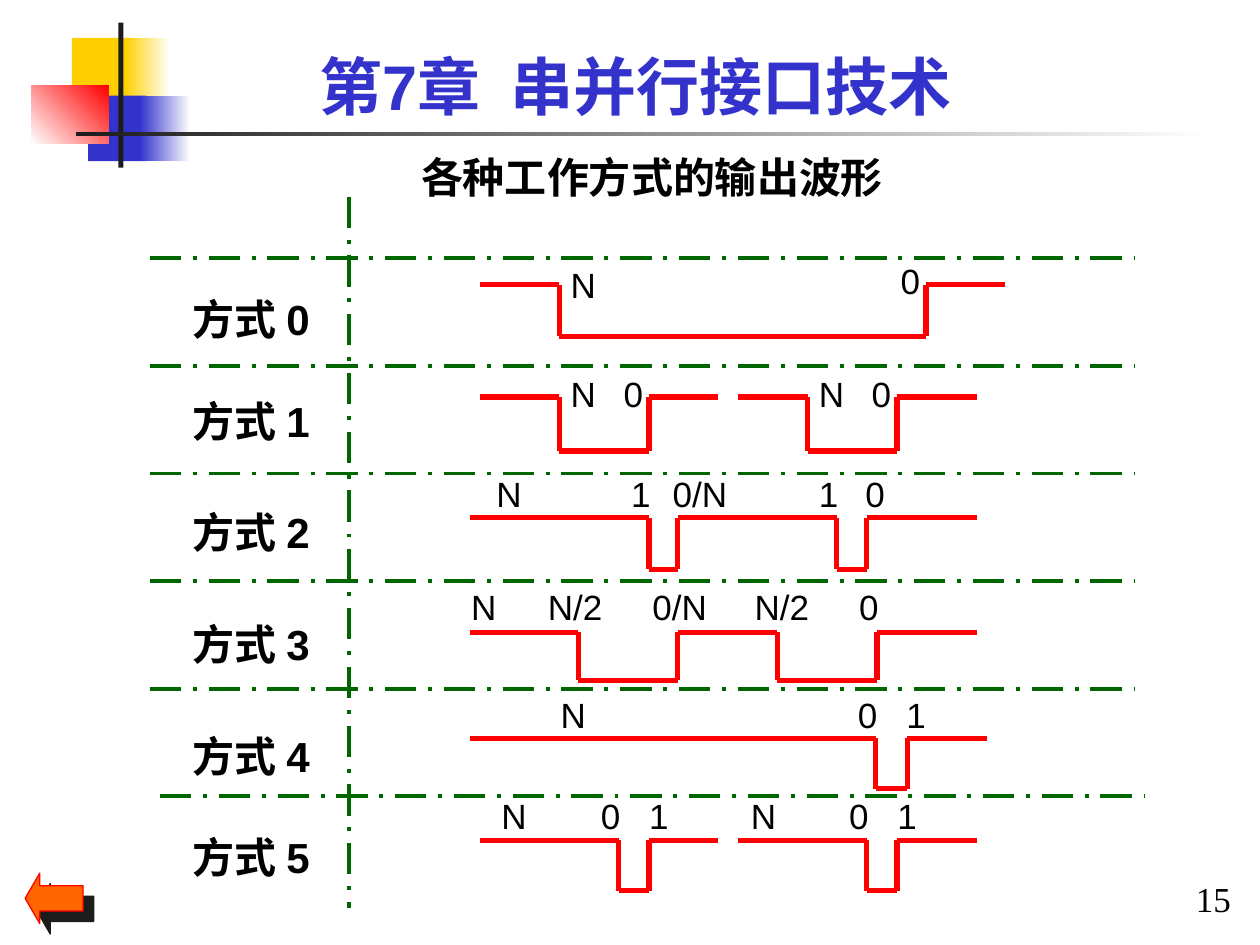
from dataclasses import dataclass
from itertools import pairwise

from pptx import Presentation
from pptx.dml.color import RGBColor
from pptx.enum.dml import MSO_LINE
from pptx.enum.shapes import MSO_CONNECTOR, MSO_SHAPE
from pptx.enum.text import MSO_ANCHOR, MSO_AUTO_SIZE, PP_ALIGN
from pptx.oxml import parse_xml
from pptx.oxml.ns import nsdecls
from pptx.util import Inches, Pt

STRAIGHT = MSO_CONNECTOR.STRAIGHT
RECT, LEFT_ARROW = MSO_SHAPE.RECTANGLE, MSO_SHAPE.LEFT_ARROW
TOP, MIDDLE = MSO_ANCHOR.TOP, MSO_ANCHOR.MIDDLE
FIT = MSO_AUTO_SIZE.SHAPE_TO_FIT_TEXT
LEFT, CENTER = PP_ALIGN.LEFT, PP_ALIGN.CENTER
DASH_DOT = MSO_LINE.LONG_DASH_DOT


@dataclass(frozen=True)
class Theme:
    black: str = "000000"
    white: str = "FFFFFF"
    blue: str = "3333CC"
    yellow: str = "FFCF01"
    red: str = "FF0000"
    dark: str = "1C1C1C"
    green: str = "006600"
    orange: str = "FF6600"
    sans: str = "Arial"
    serif: str = "Times New Roman"
    cjk: str = "Noto Sans CJK SC"
    title: int = 36
    heading: int = 24
    count: int = 20
    grid_line: float = 2.25
    wave_line: float = 3


T = Theme()


@dataclass(frozen=True)
class Style:
    size: int
    font: str = T.sans
    color: str = T.black
    bold: bool = False
    inset: tuple[float, float] = (0, 0)
    anchor: MSO_ANCHOR = MIDDLE
    align: PP_ALIGN = CENTER
    gap: float = 0
    wrap: bool = False


TITLE = Style(T.title, color=T.blue, bold=True, anchor=TOP, gap=9, wrap=True)
SUBTITLE = Style(T.heading, T.serif, bold=True, anchor=TOP, wrap=True)
PAGE = Style(T.count, T.serif)
MODE = Style(T.heading, bold=True, inset=(0.1, 0.05))
COUNT = Style(T.count, inset=(0.1, 0.05))
PAIR = Style(T.count, inset=(0.1, 0.05), align=LEFT, gap=11)


@dataclass(frozen=True)
class Block:
    box: tuple[float, float, float, float]
    start: str
    end: str | None = None
    angle: float = 0


@dataclass(frozen=True)
class Count:
    text: str
    left: float
    rise: float = 0


@dataclass(frozen=True)
class Mode:
    top: float
    count_top: float
    high: float
    low: float
    waves: tuple[tuple[float, ...], ...]
    counts: tuple[Count, ...]


BLOCKS = (
    Block((0.57, 0.3, 0.48, 0.52), T.yellow),
    Block((0.99, 0.3, 0.36, 0.52), T.yellow, T.white),
    Block((0.7, 0.76, 0.46, 0.52), T.blue),
    Block((1.11, 0.76, 0.4, 0.52), T.blue, T.white),
    Block((0.25, 0.68, 0.61, 0.46), T.white, T.red, 45),
    Block((0.94, 0.18, 0.04, 1.15), T.dark),
    Block((0.6, 1.05, 9, 0.03), T.dark, T.white),
)

MODES = (
    Mode(2.28, 2.04, 2.26, 2.67, ((3.81, 4.44, 7.35, 7.98),),
         (Count("N", 4.43), Count("0", 7.05, 0.03))),
    Mode(3.09, 2.9, 3.15, 3.58,
         ((3.81, 4.44, 5.15, 5.7), (5.86, 6.41, 7.12, 7.75)),
         (Count("N", 4.43), Count("0", 4.85), Count("N", 6.4), Count("0", 6.82))),
    Mode(3.97, 3.7, 4.11, 4.52, ((3.73, 5.15, 5.38, 6.64, 6.88, 7.75),),
         (Count("N", 3.84), Count("1", 4.91), Count("0/N", 5.24),
          Count("1", 6.4), Count("0", 6.77))),
    Mode(4.86, 4.59, 5.02, 5.4, ((3.73, 4.59, 5.38, 6.17, 6.96, 7.75),),
         (Count("N", 3.64), Count("N/2", 4.25), Count("0/N", 5.08),
          Count("N/2", 5.89), Count("0", 6.72))),
    Mode(5.75, 5.45, 5.86, 6.26, ((3.73, 6.95, 7.2, 7.83),),
         (Count("N", 4.35), Count("0 1", 6.71))),
    Mode(6.55, 6.25, 6.67, 7.07,
         ((3.81, 4.91, 5.15, 5.7), (5.86, 6.88, 7.12, 7.75)),
         (Count("N", 3.88), Count("0 1", 4.67), Count("N", 5.86), Count("0 1", 6.64))),
)
COUNT_WIDTHS = {"0": 0.35, "1": 0.35, "N": 0.4, "0/N": 0.63, "N/2": 0.63, "0 1": 0.74}


def rgb(color: str) -> RGBColor:
    return RGBColor.from_string(color)


def add_text(s, box: tuple[float, ...], text: str, style: Style) -> None:
    tf = s.shapes.add_textbox(*map(Inches, box)).text_frame
    tf.margin_left = tf.margin_right = Inches(style.inset[0])
    tf.margin_top = tf.margin_bottom = Inches(style.inset[1])
    tf.vertical_anchor, tf.word_wrap, tf.auto_size = style.anchor, style.wrap, FIT
    p = tf.paragraphs[0]
    p.alignment = style.align
    parts = text.partition(" ") if style.gap else (text,)
    for part in filter(None, parts):
        r = p.add_run()
        r.text = part
        rPr = r._r.get_or_add_rPr()
        if part == " ":
            rPr.set("spc", str(round(style.gap * 100)))
        rPr.append(parse_xml(f'<a:ea {nsdecls("a")} typeface="{T.cjk}"/>'))
    p.font.name, p.font.size, p.font.bold = style.font, Pt(style.size), style.bold
    p.font.color.rgb = rgb(style.color)


def add_line(s, x1: float, y1: float, x2: float, y2: float,
             color: str, width: float, dash: MSO_LINE | None = None) -> None:
    c = s.shapes.add_connector(STRAIGHT, *map(Inches, (x1, y1, x2, y2)))
    c.line.color.rgb, c.line.width = rgb(color), Pt(width)
    if dash is not None:
        c.line.dash_style = dash
    c._element.spPr.append(parse_xml(f'<a:effectLst {nsdecls("a")}/>'))


def add_block(s, block: Block) -> None:
    sp = s.shapes.add_shape(RECT, *map(Inches, block.box))
    sp.shadow.inherit = False
    sp.line.fill.background()
    if block.end is None:
        sp.fill.solid()
        sp.fill.fore_color.rgb = rgb(block.start)
        return
    sp.fill.gradient()
    sp.fill.gradient_angle = block.angle
    for stop, color in zip(sp.fill.gradient_stops, (block.start, block.end)):
        stop.color.rgb = rgb(color)


def add_back_arrow(s) -> None:
    sp = s.shapes.add_shape(LEFT_ARROW, *map(Inches, (0.2, 6.93, 0.46, 0.4)))
    sp.adjustments[1] = 0.29
    sp.fill.solid()
    sp.fill.fore_color.rgb = rgb(T.orange)
    sp.line.color.rgb, sp.line.width = rgb(T.red), Pt(0.75)
    sp._element.spPr.append(parse_xml(
        f'<a:effectLst {nsdecls("a")}><a:outerShdw dist="{int(Pt(8.5))}" dir="2700000" '
        f'algn="ctr" rotWithShape="0"><a:srgbClr val="{T.dark}"/>'
        '</a:outerShdw></a:effectLst>'))


def add_grid(s) -> None:
    first, last = 2.05, 6.32
    for i in range(6):
        y, shift = first + (last - first) / 5 * i, 0.08 if i == 5 else 0
        add_line(s, 1.19 + shift, y, 9 + shift, y, T.green, T.grid_line, DASH_DOT)
    add_line(s, 2.77, 1.56, 2.77, 7.21, T.green, T.grid_line, DASH_DOT)


def add_wave(s, xs: tuple[float, ...], high: float, low: float) -> None:
    for i, (x1, x2) in enumerate(pairwise(xs)):
        y = low if i % 2 else high
        add_line(s, x1, y, x2, y, T.red, T.wave_line)
    for x in xs[1:-1]:
        add_line(s, x, high, x, low, T.red, T.wave_line)


def add_mode(s, number: int, mode: Mode) -> None:
    add_text(s, (1.39, mode.top, 1.21, 0.5), f"方式 {number}", MODE)
    for xs in mode.waves:
        add_wave(s, xs, mode.high, mode.low)
    for count in mode.counts:
        box = (count.left, mode.count_top - count.rise, COUNT_WIDTHS[count.text], 0.44)
        add_text(s, box, count.text, PAIR if " " in count.text else COUNT)


def main() -> None:
    prs = Presentation()
    prs.slide_width, prs.slide_height = Inches(10), Inches(7.5)
    s = prs.slides.add_slide(prs.slide_layouts[6])
    for block in BLOCKS:
        add_block(s, block)
    add_text(s, (9.43, 6.96, 0.4, 0.34), "15", PAGE)
    add_back_arrow(s)
    add_text(s, (1.38, 0.38, 7.32, 0.6), "第7章 串并行接口技术", TITLE)
    add_text(s, (3.11, 1.2, 4.13, 0.4), "各种工作方式的输出波形", SUBTITLE)
    add_grid(s)
    for number, mode in enumerate(MODES):
        add_mode(s, number, mode)
    prs.save("out.pptx")


if __name__ == "__main__":
    main()
